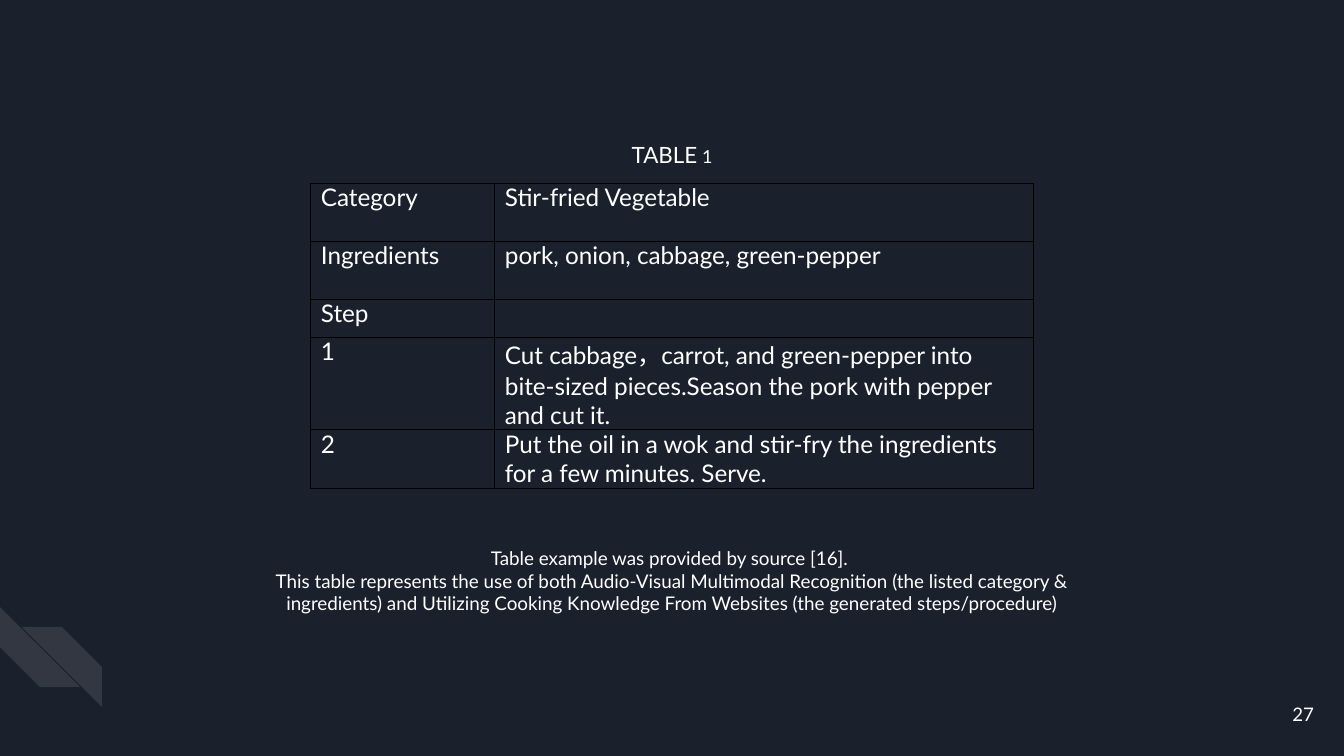
"""Build a dark slide with a recipe table, its caption and a source note."""
from dataclasses import dataclass

from lxml import etree
from pptx import Presentation
from pptx.dml.color import RGBColor
from pptx.enum.shapes import MSO_SHAPE
from pptx.enum.text import MSO_ANCHOR, PP_ALIGN
from pptx.oxml.ns import qn
from pptx.util import Emu, Pt

STRIPE = MSO_SHAPE.DIAGONAL_STRIPE
MIDDLE = MSO_ANCHOR.MIDDLE
LEFT, CENTER, RIGHT = PP_ALIGN.LEFT, PP_ALIGN.CENTER, PP_ALIGN.RIGHT
EMU_PER_PX = 914400 / 134.4


@dataclass(frozen=True)
class Theme:
    font: str = "Lato"
    background: str = "1B212C"
    text: str = "FFFFFF"
    border: str = "000000"
    stripe_alpha: int = 10
    caption_size: float = 12
    table_size: float = 13
    note_size: float = 10.1
    number_size: float = 10
    border_width: float = 0.5


THEME = Theme()

CAPTION = ["TABLE 1"]
RECIPE = [
    ("Category", "Stir-fried Vegetable"),
    ("Ingredients", "pork, onion, cabbage, green-pepper"),
    ("Step", ""),
    ("1", "Cut cabbage，carrot, and green-pepper into bite-sized pieces.Season the pork with pepper and cut it."),
    ("2", "Put the oil in a wok and stir-fry the ingredients for a few minutes. Serve."),
]
NOTE = [
    "Table example was provided by source [16]. ",
    "This table represents the use of both Audio-Visual Multimodal Recognition "
    "(the listed category & ingredients) and Utilizing Cooking Knowledge From Websites "
    "(the generated steps/procedure)",
]
SLIDE_NUMBER = ["27"]

SLIDE_SIZE = (1344, 756)
CAPTION_BOX = (576, 126, 192, 58)
NOTE_BOX = (254, 531, 836, 99)
NUMBER_BOX = (1246, 685, 81, 58)
TABLE_ORIGIN = (310, 183)
COLUMN_WIDTHS = (184, 539)
ROW_HEIGHTS = (58, 58, 38, 93, 58)
CELL_INSET = 11
BOX_INSET = 13
STRIPE_SIDE = 80


def px(length):
    return Emu(round(length * EMU_PER_PX))


def color(value):
    return RGBColor.from_string(value)


def style_font(font, size):
    font.name = THEME.font
    font.size = Pt(size)
    font.color.rgb = color(THEME.text)


def write(text_frame, lines, size, alignment):
    for index, line in enumerate(lines):
        paragraph = text_frame.add_paragraph() if index else text_frame.paragraphs[0]
        paragraph.alignment = alignment
        if line:
            run = paragraph.add_run()
            run.text = line
            style_font(run.font, size)
        else:
            style_font(paragraph.font, size)


def add_text(slide, box, lines, size, alignment):
    text_frame = slide.shapes.add_textbox(*map(px, box)).text_frame
    text_frame.word_wrap = True
    text_frame.vertical_anchor = MIDDLE
    text_frame.margin_left = text_frame.margin_right = px(BOX_INSET)
    text_frame.margin_top = text_frame.margin_bottom = px(BOX_INSET)
    write(text_frame, lines, size, alignment)
    return text_frame


def add_stripe(slide, left, top):
    shape = slide.shapes.add_shape(STRIPE, px(left), px(top), px(STRIPE_SIDE), px(STRIPE_SIDE))
    shape.adjustments[0] = 0.5
    shape.shadow.inherit = False
    shape.line.fill.background()
    shape.fill.solid()
    shape.fill.fore_color.rgb = color(THEME.text)
    fill_color = shape._element.spPr.find(qn("a:solidFill"))[0]
    etree.SubElement(fill_color, qn("a:alpha"), val=str(THEME.stripe_alpha * 1000))
    return shape


def add_borders(cell):
    properties = cell._tc.get_or_add_tcPr()
    for side in ("lnL", "lnR", "lnT", "lnB"):
        line = etree.SubElement(properties, qn(f"a:{side}"), w=str(Pt(THEME.border_width)))
        fill = etree.SubElement(line, qn("a:solidFill"))
        etree.SubElement(fill, qn("a:srgbClr"), val=THEME.border)


def add_recipe_table(slide):
    size = (sum(COLUMN_WIDTHS), sum(ROW_HEIGHTS))
    frame = slide.shapes.add_table(len(RECIPE), len(COLUMN_WIDTHS), *map(px, TABLE_ORIGIN + size))
    table = frame.table
    table.first_row = table.horz_banding = False
    for column, width in zip(table.columns, COLUMN_WIDTHS):
        column.width = px(width)
    for row, height, texts in zip(table.rows, ROW_HEIGHTS, RECIPE):
        row.height = px(height)
        for cell, text in zip(row.cells, texts):
            cell.margin_left = cell.margin_right = px(CELL_INSET)
            cell.margin_top = cell.margin_bottom = 0
            add_borders(cell)
            cell.fill.background()
            write(cell.text_frame, [text], THEME.table_size, LEFT)


def main():
    presentation = Presentation()
    presentation.slide_width, presentation.slide_height = map(px, SLIDE_SIZE)
    slide = presentation.slides.add_slide(presentation.slide_layouts.get_by_name("Blank"))
    slide.background.fill.solid()
    slide.background.fill.fore_color.rgb = color(THEME.background)

    add_stripe(slide, 0, 607).rotation = 270
    mirrored_stripe = add_stripe(slide, 22, 627)
    mirrored_stripe._element.spPr.find(qn("a:xfrm")).set("flipH", "1")

    add_text(slide, NOTE_BOX, NOTE, THEME.note_size, CENTER)
    add_text(slide, NUMBER_BOX, SLIDE_NUMBER, THEME.number_size, RIGHT)
    add_recipe_table(slide)

    caption = add_text(slide, CAPTION_BOX, CAPTION, THEME.caption_size, CENTER).paragraphs[0]
    caption.space_after = Pt(6)
    caption.runs[0].font._element.set("cap", "small")

    presentation.save("out.pptx")


if __name__ == "__main__":
    main()
